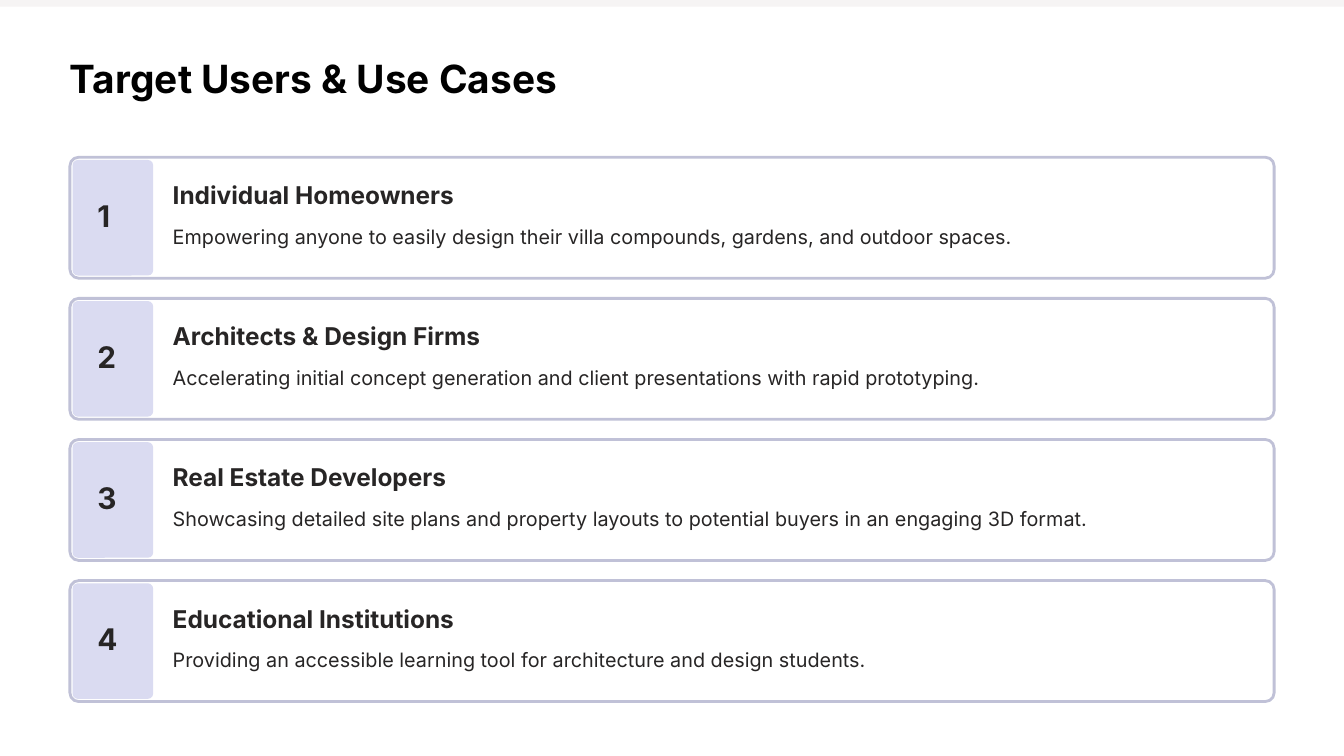
"""Build the target users and use cases slide."""
from pptx import Presentation
from pptx.dml.color import RGBColor
from pptx.enum.shapes import MSO_SHAPE
from pptx.util import Inches, Pt

RECTANGLE = MSO_SHAPE.RECTANGLE
ROUNDED = MSO_SHAPE.ROUNDED_RECTANGLE
FONT = "Inter"
COLORS = {
    "band": "F6F4F4",
    "white": "FFFFFF",
    "border": "C0C1D7",
    "badge": "DADBF1",
    "title": "000000",
    "text": "272525",
}

TITLE = "Target Users & Use Cases"
USERS = [
    ("Individual Homeowners", 4.29,
     "Empowering anyone to easily design their villa compounds, gardens, and outdoor spaces."),
    ("Architects & Design Firms", 4.69,
     "Accelerating initial concept generation and client presentations with rapid prototyping."),
    ("Real Estate Developers", 4.17,
     "Showcasing detailed site plans and property layouts to potential buyers in an engaging 3D format."),
    ("Educational Institutions", 4.29,
     "Providing an accessible learning tool for architecture and design students."),
]

SLIDE_WIDTH, SLIDE_HEIGHT = 20, 11.25
BAND_HEIGHT = 0.1
CARD_LEFT, CARD_TOP, CARD_WIDTH, CARD_HEIGHT = 1.04, 2.34, 17.92, 1.8
CARD_STEP = 2.1
BADGE_INSET, BADGE_WIDTH = 0.04, 1.2
NUMBER_LEFT, TEXT_LEFT = 1.45, 2.57


def color(name):
    return RGBColor.from_string(COLORS[name])


def add_panel(slide, kind, left, top, width, height, fill, border=None, radius=None):
    shape = slide.shapes.add_shape(
        kind, Inches(left), Inches(top), Inches(width), Inches(height))
    shape.shadow.inherit = False
    shape.fill.solid()
    shape.fill.fore_color.rgb = color(fill)
    if border:
        shape.line.color.rgb = color(border)
        shape.line.width = Pt(3)
    else:
        shape.line.fill.background()
    if radius:
        shape.adjustments[0] = radius / min(width, height)


def add_text(slide, text, *, left, top, width, height, size, spacing,
             bold=True, ink="text"):
    box = slide.shapes.add_textbox(
        Inches(left), Inches(top), Inches(width), Inches(height))
    frame = box.text_frame
    frame.word_wrap = True
    frame.margin_left = frame.margin_right = frame.margin_top = frame.margin_bottom = 0
    paragraph = frame.paragraphs[0]
    paragraph.line_spacing = Pt(spacing)
    run = paragraph.add_run()
    run.text = text
    run.font.name = FONT
    run.font.size = Pt(size)
    run.font.bold = bold
    run.font.color.rgb = color(ink)


def add_card(slide, index, heading, heading_width, description):
    top = CARD_TOP + index * CARD_STEP
    add_panel(slide, ROUNDED, CARD_LEFT, top, CARD_WIDTH, CARD_HEIGHT,
              "white", border="border", radius=0.13)
    add_panel(slide, ROUNDED, CARD_LEFT + BADGE_INSET, top + BADGE_INSET,
              BADGE_WIDTH, CARD_HEIGHT - 2 * BADGE_INSET, "badge", radius=0.08)
    add_text(slide, str(index + 1), left=NUMBER_LEFT, top=top + 0.69,
             width=0.45, height=0.5, size=31.9, spacing=31.9)
    add_text(slide, heading, left=TEXT_LEFT, top=top + 0.32,
             width=heading_width, height=0.49, size=26.2, spacing=33.1)
    add_text(slide, description, left=TEXT_LEFT, top=top + 0.89,
             width=16.34, height=0.57, size=21.2, spacing=33.7, bold=False)


def main():
    presentation = Presentation()
    presentation.slide_width = Inches(SLIDE_WIDTH)
    presentation.slide_height = Inches(SLIDE_HEIGHT)
    slide = presentation.slides.add_slide(presentation.slide_layouts[6])
    add_panel(slide, RECTANGLE, 0, 0, SLIDE_WIDTH, SLIDE_HEIGHT, "band")
    add_panel(slide, RECTANGLE, 0, BAND_HEIGHT,
              SLIDE_WIDTH, SLIDE_HEIGHT - BAND_HEIGHT, "white")
    add_text(slide, TITLE, left=CARD_LEFT, top=0.78, width=7.31, height=0.77,
             size=41.6, spacing=52.3, ink="title")
    for index, user in enumerate(USERS):
        add_card(slide, index, *user)
    presentation.save("out.pptx")


if __name__ == "__main__":
    main()
